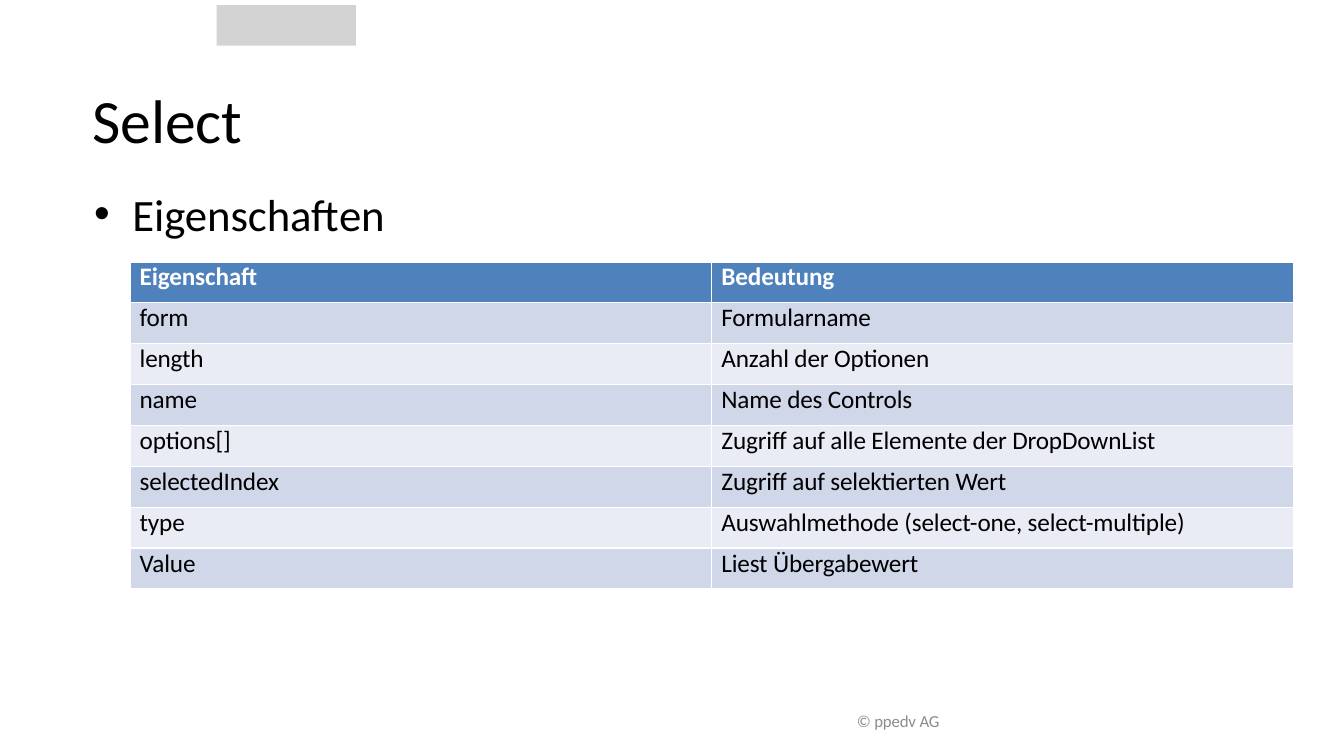
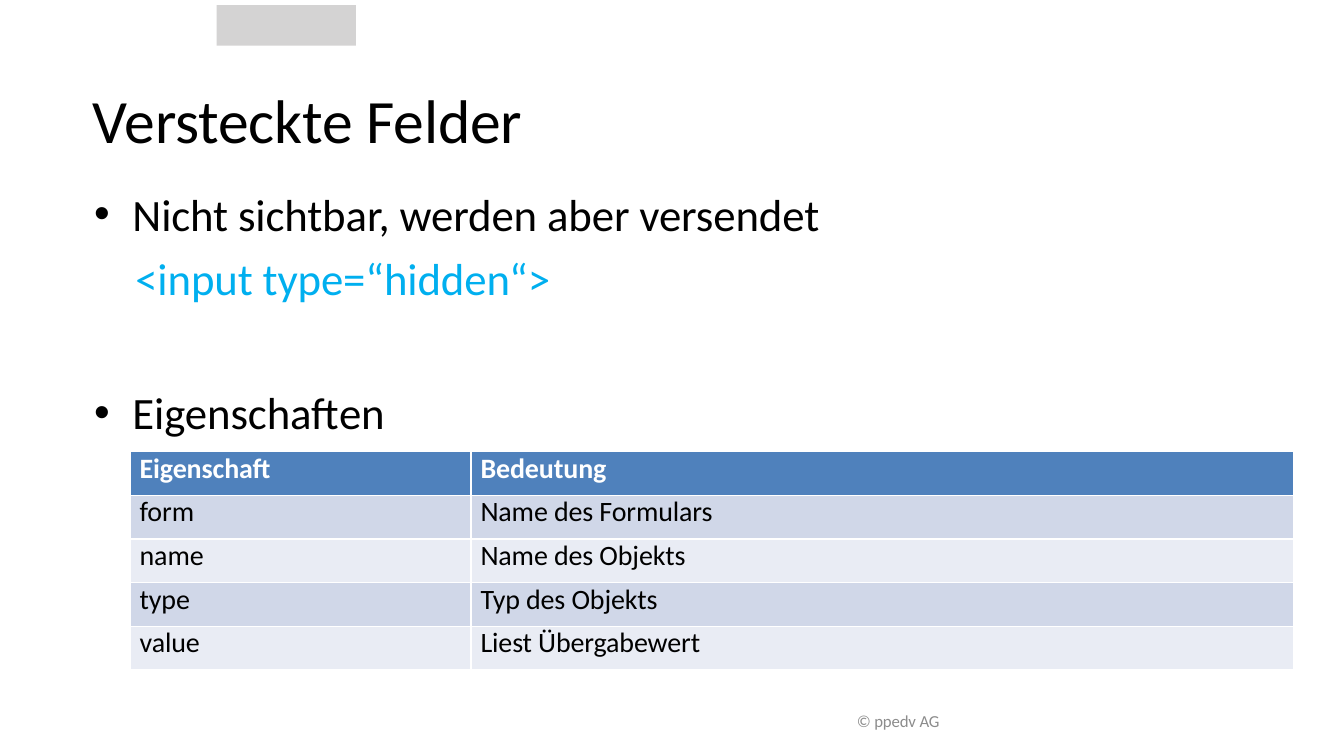
"""Two slides on form controls, each with a title, bullets and a property table."""
from lxml import etree
from pptx import Presentation
from pptx.dml.color import RGBColor
from pptx.enum.shapes import MSO_SHAPE as Shape
from pptx.enum.text import MSO_ANCHOR as Anchor, PP_ALIGN as Align
from pptx.oxml.ns import qn
from pptx.util import Cm, Pt

BLACK = RGBColor(0x00, 0x00, 0x00)
WHITE = RGBColor(0xFF, 0xFF, 0xFF)
GREY = RGBColor(0x8C, 0x8C, 0x8C)
BAND = RGBColor(0xD4, 0xD3, 0xD3)
CYAN = RGBColor(0x00, 0xAF, 0xEF)
HEAD = RGBColor(0x4F, 0x81, 0xBC)
ROWS = [RGBColor(0xE9, 0xEC, 0xF4), RGBColor(0xD0, 0xD7, 0xE8)]

LEFT = Cm(2.34)
PAGES = [
    {
        "title": "Select",
        "lines": [("Eigenschaften", True, 0)],
        "top": 6.6, "row": 1.03, "size": 18, "cols": (14.66, 14.66),
        "cells": [
            ("Eigenschaft", "Bedeutung"),
            ("form", "Formularname"),
            ("length", "Anzahl der Optionen"),
            ("name", "Name des Controls"),
            ("options[]", "Zugriff auf alle Elemente der DropDownList"),
            ("selectedIndex", "Zugriff auf selektierten Wert"),
            ("type", "Auswahlmethode (select-one, select-multiple)"),
            ("Value", "Liest Übergabewert"),
        ],
    },
    {
        "title": "Versteckte Felder",
        "lines": [
            ("Nicht sichtbar, werden aber versendet", True, 0),
            ("<input type=“hidden“>", False, 7.7),
            ("Eigenschaften", True, 57),
        ],
        "top": 11.38, "row": 1.1, "size": 20, "cols": (8.59, 20.73),
        "cells": [
            ("Eigenschaft", "Bedeutung"),
            ("form", "Name des Formulars"),
            ("name", "Name des Objekts"),
            ("type", "Typ des Objekts"),
            ("value", "Liest Übergabewert"),
        ],
    },
]


def style(par, size, color, bold=False):
    for run in par.runs:
        font = run.font
        font.name = "Calibri"
        font.size = Pt(size)
        font.bold = bold
        font.color.rgb = color
        run._r.get_or_add_rPr().set("spc", "-10")


def clear(frame):
    frame.word_wrap = True
    frame.margin_left = frame.margin_right = 0
    frame.margin_top = frame.margin_bottom = 0


deck = Presentation()
deck.slide_width, deck.slide_height = Cm(33.87), Cm(19.05)

for page in PAGES:
    slide = deck.slides.add_slide(deck.slide_layouts[5])
    shapes = slide.shapes

    band = shapes.add_shape(Shape.RECTANGLE, Cm(5.46), Cm(0.13), Cm(3.51), Cm(1.02))
    band.shadow.inherit = False
    band.fill.solid()
    band.fill.fore_color.rgb = BAND
    band.line.fill.background()

    title = shapes.title
    title.left, title.top = LEFT, Cm(1.27)
    title.width, title.height = Cm(29.21), Cm(3.43)
    frame = title.text_frame
    clear(frame)
    frame.vertical_anchor = Anchor.MIDDLE
    frame.text = page["title"]
    frame.paragraphs[0].alignment = Align.LEFT
    style(frame.paragraphs[0], 44, BLACK)

    body = shapes.add_textbox(LEFT, Cm(4.7), Cm(20), Cm(1.45 if len(page["lines"]) == 1 else 6.32))
    frame = body.text_frame
    clear(frame)
    for num, (text, dot, gap) in enumerate(page["lines"]):
        par = frame.add_paragraph() if num else frame.paragraphs[0]
        par.text = text
        if gap:
            par.space_before = Pt(gap)
        props = par._p.get_or_add_pPr()
        props.set("marL", str(Cm(1 if dot else 1.07)))
        if dot:
            props.set("indent", str(Cm(-0.97)))
            etree.SubElement(props, qn("a:buFont")).set("typeface", "Arial")
            etree.SubElement(props, qn("a:buChar")).set("char", "•")
        style(par, 32, BLACK if dot else CYAN)

    cells = page["cells"]
    high = Cm(page["row"])
    table = shapes.add_table(len(cells), 2, Cm(3.28), Cm(page["top"]),
                             Cm(sum(page["cols"])), high * len(cells)).table
    for col, wide in zip(table.columns, page["cols"]):
        col.width = Cm(wide)
    for r, texts in enumerate(cells):
        table.rows[r].height = high
        for c, text in enumerate(texts):
            cell = table.cell(r, c)
            cell.margin_left = Cm(0.24)
            cell.margin_right = cell.margin_top = cell.margin_bottom = 0
            cell.fill.solid()
            cell.fill.fore_color.rgb = ROWS[r % 2] if r else HEAD
            cell.text_frame.text = text
            style(cell.text_frame.paragraphs[0], page["size"], BLACK if r else WHITE, r == 0)

    foot = shapes.add_textbox(LEFT, Cm(17.65), Cm(21.59), Cm(1.02))
    frame = foot.text_frame
    frame.word_wrap = True
    frame.vertical_anchor = Anchor.MIDDLE
    frame.text = "© ppedv AG"
    frame.paragraphs[0].alignment = Align.RIGHT
    style(frame.paragraphs[0], 12, GREY)

deck.save("out.pptx")
